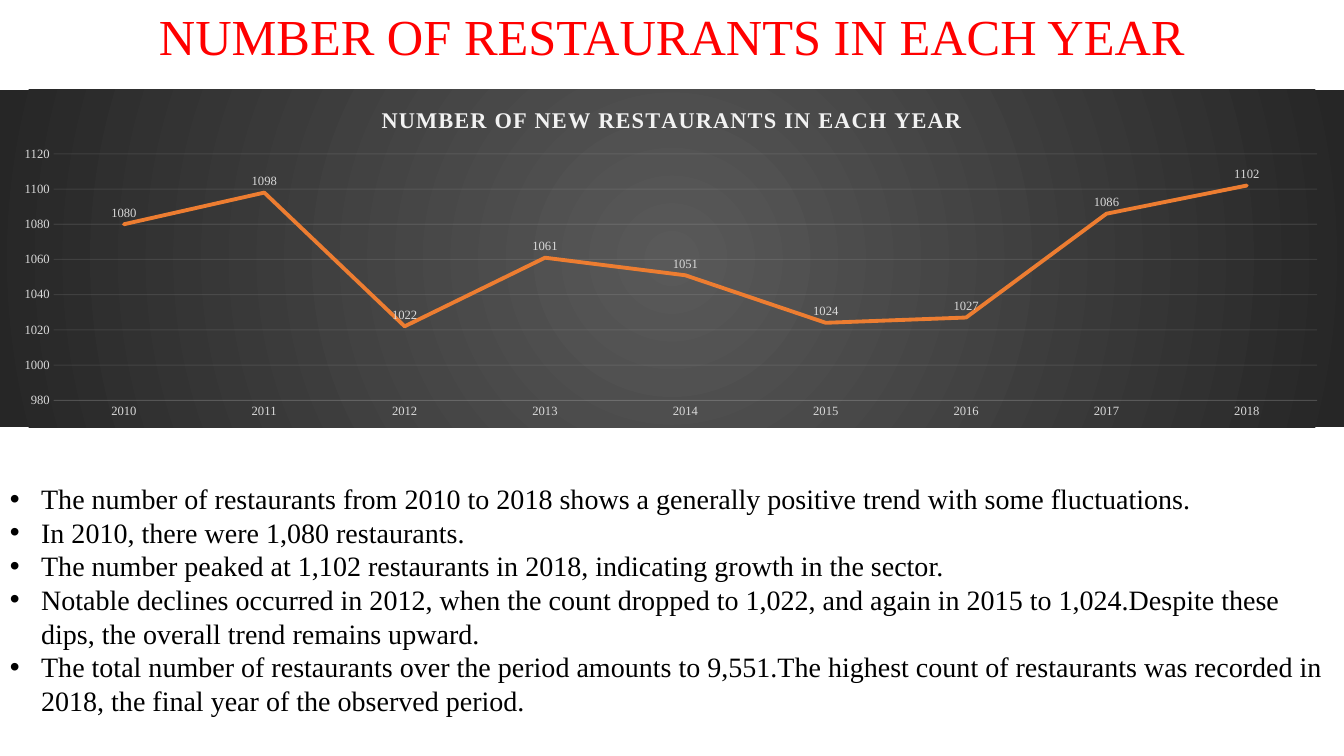
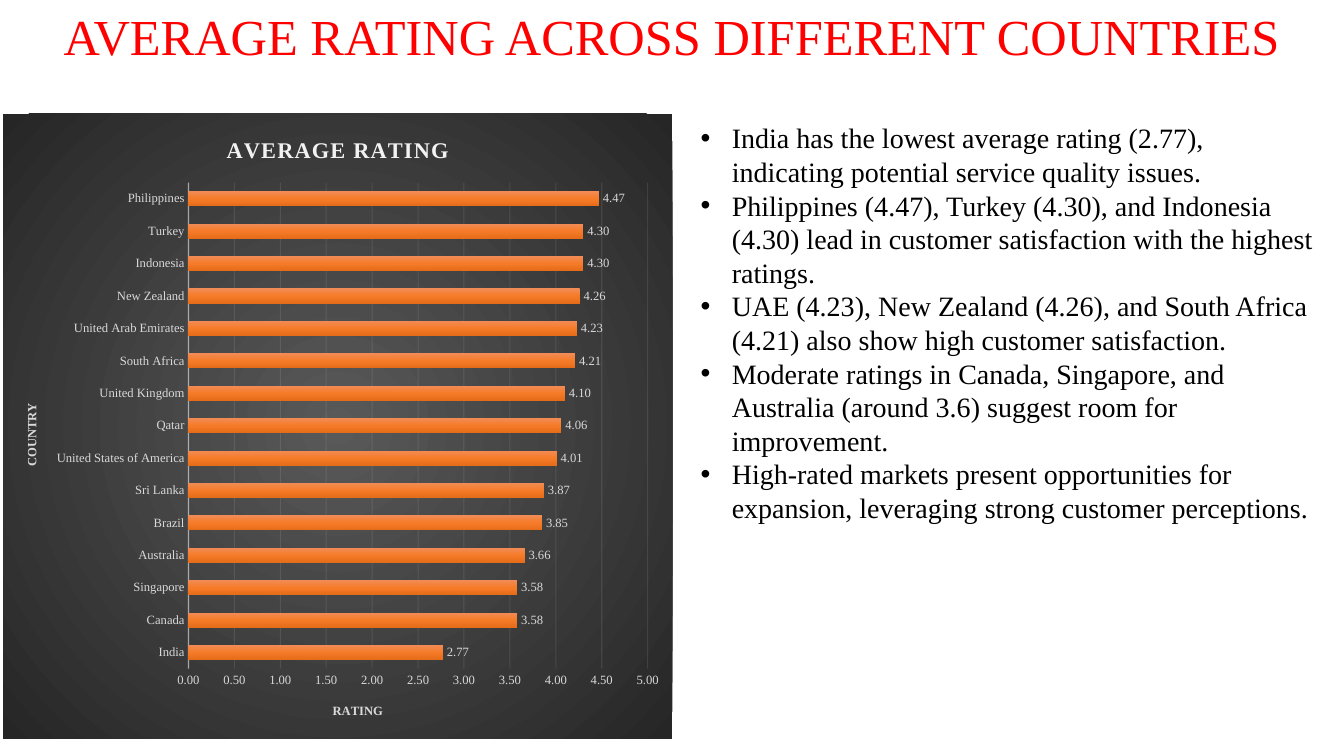
from lxml import etree
from pptx import Presentation
from pptx.chart.data import CategoryChartData
from pptx.dml.color import RGBColor
from pptx.enum.chart import XL_CHART_TYPE, XL_LABEL_POSITION, XL_MARKER_STYLE, XL_TICK_MARK
from pptx.enum.text import MSO_AUTO_SIZE, PP_ALIGN
from pptx.oxml import parse_xml
from pptx.oxml.ns import nsdecls, qn
from pptx.util import Inches, Pt

LINE, BAR = XL_CHART_TYPE.LINE, XL_CHART_TYPE.BAR_CLUSTERED
ABOVE, OUTSIDE = XL_LABEL_POSITION.ABOVE, XL_LABEL_POSITION.OUTSIDE_END
NO_MARKER, NO_TICK = XL_MARKER_STYLE.NONE, XL_TICK_MARK.NONE

WIDTH, HEIGHT = 13.33, 7.5


class Theme:
    font = "Times New Roman"
    heading, body = "FF0000", "000000"
    chart_title, chart_text, rule = "F2F2F2", "D9D9D9", "F2F2F2"
    accent = "ED7D31"
    panel_stops = [(0, "595959"), (100, "262626")]
    bar_stops = [(0, "F18C57"), (50, "F67B28"), (100, "E56C19")]
    heading_size, body_size, chart_title_size, chart_size = 36, 20, 16, 9


RADIAL = ('<a:path path="circle"><a:fillToRect l="50000" t="50000" '
          'r="50000" b="50000"/></a:path>')
DOWNWARD = '<a:lin ang="5400000" scaled="0"/>'

# Content: boxes are left, top, width, height; plot is in shares of the chart
SLIDES = [
    {
        "heading": "NUMBER OF RESTAURANTS IN EACH YEAR",
        "chart": {
            "kind": LINE, "box": (0, 0.89, WIDTH, 3.35),
            "plot": (0.04, 0.19, 0.94, 0.73),
            "title": "NUMBER OF NEW RESTAURANTS IN EACH YEAR",
            "series": "Series 1", "format": "General",
            "scale": (980, 1120, 20), "axis_line": (0.75, 10),
            "axis_titles": None, "label_position": ABOVE,
            "data": [("2010", 1080), ("2011", 1098), ("2012", 1022),
                     ("2013", 1061), ("2014", 1051), ("2015", 1024),
                     ("2016", 1027), ("2017", 1086), ("2018", 1102)],
        },
        "points_box": (0, 4.73, WIDTH, 2.46),
        "points": [
            "The number of restaurants from 2010 to 2018 shows a generally positive trend with some fluctuations.",
            "In 2010, there were 1,080 restaurants.",
            "The number peaked at 1,102 restaurants in 2018, indicating growth in the sector.",
            "Notable declines occurred in 2012, when the count dropped to 1,022, and again in 2015 to 1,024.Despite these dips, the overall trend remains upward.",
            "The total number of restaurants over the period amounts to 9,551.The highest count of restaurants was recorded in 2018, the final year of the observed period.",
        ],
    },
    {
        "heading": "AVERAGE RATING ACROSS DIFFERENT COUNTRIES",
        "chart": {
            "kind": BAR, "box": (0.03, 1.13, 6.64, 6.2),
            "plot": (0.277, 0.11, 0.686, 0.778),
            "title": "AVERAGE RATING",
            "series": "AVERAGE RATING", "format": "0.00",
            "scale": (0, 5, 0.5), "axis_line": (1, 54),
            "axis_titles": ("COUNTRY", "RATING"), "label_position": OUTSIDE,
            "data": [("India", 2.77), ("Canada", 3.58), ("Singapore", 3.58),
                     ("Australia", 3.66), ("Brazil", 3.85), ("Sri Lanka", 3.87),
                     ("United States of America", 4.01), ("Qatar", 4.06),
                     ("United Kingdom", 4.1), ("South Africa", 4.21),
                     ("United Arab Emirates", 4.23), ("New Zealand", 4.26),
                     ("Indonesia", 4.3), ("Turkey", 4.3), ("Philippines", 4.47)],
        },
        "points_box": (6.85, 1.15, 6.36, 4.14),
        "points": [
            "India has the lowest average rating (2.77), indicating potential service quality issues.",
            "Philippines (4.47), Turkey (4.30), and Indonesia (4.30) lead in customer satisfaction with the highest ratings.",
            "UAE (4.23), New Zealand (4.26), and South Africa (4.21) also show high customer satisfaction.",
            "Moderate ratings in Canada, Singapore, and Australia (around 3.6) suggest room for improvement.",
            "High-rated markets present opportunities for expansion, leveraging strong customer perceptions.",
        ],
    },
]


def set_font(font, size, color, bold=False):
    font.name, font.size, font.bold = Theme.font, Pt(size), bold
    font.color.rgb = RGBColor.from_string(color)


def gradient(stops, direction):
    marks = "".join(f'<a:gs pos="{share * 1000}"><a:srgbClr val="{color}"/></a:gs>'
                    for share, color in stops)
    return parse_xml(f'<a:gradFill {nsdecls("a")} rotWithShape="1">'
                     f'<a:gsLst>{marks}</a:gsLst>{direction}</a:gradFill>')


def style_rule(line, parent, width, opacity):
    """Colour a thin chart rule and make it partly transparent."""
    line.width = Pt(width)
    line.color.rgb = RGBColor.from_string(Theme.rule)
    for color in parent.find(qn("c:spPr")).iter(qn("a:srgbClr")):
        etree.SubElement(color, qn("a:alpha")).set("val", str(opacity * 1000))


# Text
def add_paragraphs(slide, box, texts, size, color, bulleted=False):
    shape = slide.shapes.add_textbox(*map(Inches, box))
    frame = shape.text_frame
    frame.word_wrap = True
    frame.auto_size = MSO_AUTO_SIZE.SHAPE_TO_FIT_TEXT
    frame.text = "\n".join(texts)
    for paragraph in frame.paragraphs:
        set_font(paragraph.font, size, color)
        if not bulleted:
            paragraph.alignment = PP_ALIGN.CENTER
            continue
        props = paragraph._p.get_or_add_pPr()
        props.set("marL", str(Inches(0.31)))
        props.set("indent", str(-Inches(0.31)))
        bullet = [parse_xml(f'<a:buFont {nsdecls("a")} typeface="Arial"/>'),
                  parse_xml(f'<a:buChar {nsdecls("a")} char="•"/>')]
        for offset, part in enumerate(bullet):
            props.insert(offset, part)


# Chart parts
def set_title(owner, text, size, color, spacing=0):
    frame = owner.text_frame
    frame.text = text
    paragraph = frame.paragraphs[0]
    set_font(paragraph.font, size, color, bold=True)
    run = paragraph.runs[0]
    set_font(run.font, size, color, bold=True)
    if spacing:
        run.font._element.set("spc", str(spacing))


def style_axes(chart, spec):
    categories, values = chart.category_axis, chart.value_axis
    for axis in (categories, values):
        axis.major_tick_mark = axis.minor_tick_mark = NO_TICK
        set_font(axis.tick_labels.font, Theme.chart_size, Theme.chart_text)
    categories.has_major_gridlines = False
    style_rule(categories.format.line, categories._element, *spec["axis_line"])
    values.minimum_scale, values.maximum_scale, values.major_unit = spec["scale"]
    values.tick_labels.number_format = spec["format"]
    values.tick_labels.number_format_is_linked = False
    values.format.line.fill.background()
    values.has_major_gridlines = True
    style_rule(values.major_gridlines.format.line,
               values._element.find(qn("c:majorGridlines")), 0.75, 10)
    if spec["axis_titles"]:
        for axis, title in zip((categories, values), spec["axis_titles"]):
            set_title(axis.axis_title, title, Theme.chart_size, Theme.chart_text)


def style_series(plot, spec):
    series = plot.series[0]
    if spec["kind"] == LINE:
        series.smooth = False
        series.marker.style = NO_MARKER
        series.format.line.width = Pt(2.75)
        series.format.line.color.rgb = RGBColor.from_string(Theme.accent)
        series._element.spPr.find(qn("a:ln")).set("cap", "rnd")
    else:
        plot.gap_width, plot.overlap = 115, -20
        series.invert_if_negative = False
        series._element.get_or_add_spPr().append(gradient(Theme.bar_stops, DOWNWARD))
    labels = series.data_labels
    labels.show_value = True
    labels.position = spec["label_position"]
    labels.number_format = spec["format"]
    labels.number_format_is_linked = False
    set_font(labels.font, Theme.chart_size, Theme.chart_text)


def place_plot(chart, shares):
    area = chart._chartSpace.chart.plotArea
    for old in area.findall(qn("c:layout")):
        area.remove(old)
    sizes = "".join(f'<c:{key} val="{share}"/>' for key, share in zip("xywh", shares))
    area.insert(0, parse_xml(
        f'<c:layout {nsdecls("c")}><c:manualLayout><c:layoutTarget val="inner"/>'
        f'<c:xMode val="edge"/><c:yMode val="edge"/>{sizes}</c:manualLayout></c:layout>'))


def add_chart(slide, spec):
    names, values = zip(*spec["data"])
    data = CategoryChartData(number_format=spec["format"])
    data.categories = names
    data.add_series(spec["series"], values)
    chart = slide.shapes.add_chart(spec["kind"], *map(Inches, spec["box"]), data).chart
    set_font(chart.font, 10, Theme.body)
    chart.has_legend = False
    chart.has_title = True
    set_title(chart.chart_title, spec["title"], Theme.chart_title_size,
              Theme.chart_title, spacing=100)
    chart.chart_title.include_in_layout = False
    chart.plots[0].vary_by_categories = False
    style_axes(chart, spec)
    style_series(chart.plots[0], spec)
    place_plot(chart, spec["plot"])
    # Dark panel behind the chart
    panel = parse_xml(f'<c:spPr {nsdecls("c", "a")}><a:ln><a:noFill/></a:ln></c:spPr>')
    panel.insert(0, gradient(Theme.panel_stops, RADIAL))
    chart._chartSpace.chart.addnext(panel)


def main():
    deck = Presentation()
    deck.slide_width, deck.slide_height = Inches(WIDTH), Inches(HEIGHT)
    blank = deck.slide_layouts[6]
    for content in SLIDES:
        slide = deck.slides.add_slide(blank)
        add_chart(slide, content["chart"])
        add_paragraphs(slide, (0, 0, WIDTH, 0.71), [content["heading"]],
                       Theme.heading_size, Theme.heading)
        add_paragraphs(slide, content["points_box"], content["points"],
                       Theme.body_size, Theme.body, bulleted=True)
    deck.save("out.pptx")


if __name__ == "__main__":
    main()
